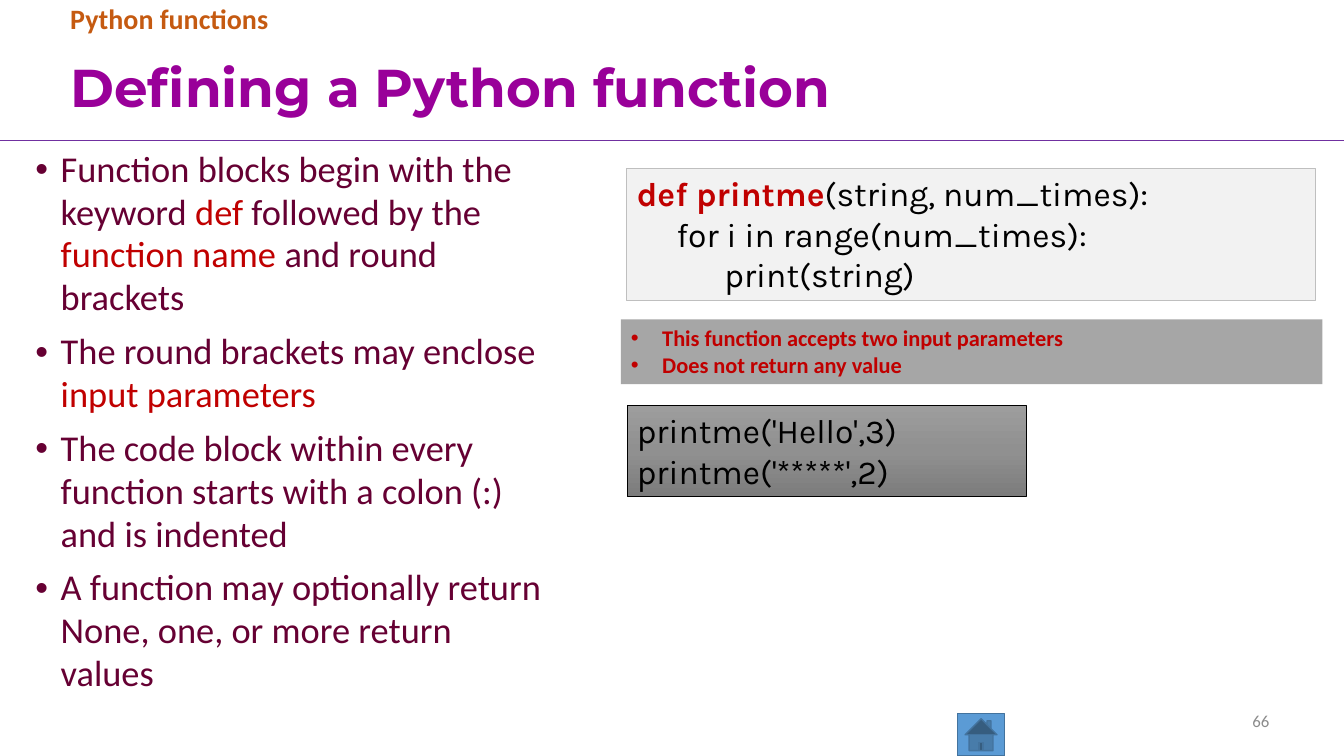
from copy import deepcopy

from lxml import etree
from pptx import Presentation
from pptx import util as u
from pptx.dml.color import RGBColor
from pptx.enum import shapes, text
from pptx.oxml.ns import qn

PURPLE = RGBColor(0x99, 0x00, 0x99)
RULE_PURPLE = RGBColor(0x70, 0x30, 0xA0)
PLUM = RGBColor(0x66, 0x00, 0x33)
RED = RGBColor(0xC0, 0x00, 0x00)
ORANGE = RGBColor(0xC5, 0x5A, 0x11)
BLACK = RGBColor(0x00, 0x00, 0x00)
NUMBER_GREY = RGBColor(0x8C, 0x8C, 0x8C)
CODE_FILL = RGBColor(0xF2, 0xF2, 0xF2)
CODE_LINE = RGBColor(0xBF, 0xBF, 0xBF)
NOTE_FILL = RGBColor(0xA6, 0xA6, 0xA6)
BUTTON_FILL = RGBColor(0x5B, 0x9B, 0xD5)
BUTTON_LINE = RGBColor(0x43, 0x73, 0x9E)
CALL_GREYS = [RGBColor(0x9D, 0x9D, 0x9D), RGBColor(0x90, 0x90, 0x90),
              RGBColor(0x7C, 0x7C, 0x7C)]

RULES = [
    [("Function blocks begin with the keyword ", PLUM), ("def ", RED),
     ("followed by the ", PLUM), ("function name", RED),
     (" and round brackets", PLUM)],
    [("The round brackets may enclose ", PLUM), ("input parameters", RED)],
    [("The code block within every function starts with a colon (:) "
      "and is indented", PLUM)],
    [("A function may optionally return None, one, or more return values", PLUM)],
]
DEFINITION = [
    [("def printme", RED, True), ("(string, num_times):", BLACK)],
    [("     for i in range(num_times):", BLACK)],
    [("           print(string)", BLACK)],
]
NOTES = [
    [("This function accepts two input parameters", RED, True)],
    [("Does not return any value", RED, True)],
]
CALLS = [[("printme('Hello',3)", BLACK)], [("printme('*****',2)", BLACK)]]


def lengths(*values):
    return [u.Cm(value) for value in values]


def add_bullet(para, indent):
    props = para._p.get_or_add_pPr()
    props.set("marL", str(u.Cm(indent)))
    props.set("indent", str(-u.Cm(indent)))
    etree.SubElement(props, qn("a:buFont")).set("typeface", "Arial")
    etree.SubElement(props, qn("a:buChar")).set("char", "•")


def write(box, paragraphs, size, font="Calibri", align=text.PP_ALIGN.LEFT,
          anchor=text.MSO_ANCHOR.TOP, indent=None, spacing=None, gap=0):
    frame = box.text_frame
    frame.word_wrap = True
    frame.auto_size = text.MSO_AUTO_SIZE.NONE
    frame.vertical_anchor = anchor
    for index, runs in enumerate(paragraphs):
        para = frame.add_paragraph() if index else frame.paragraphs[0]
        para.alignment = align
        para.space_before = u.Pt(gap if index else 0)
        if spacing:
            para.line_spacing = spacing
        if indent:
            add_bullet(para, indent)
        for words, colour, *bold in runs:
            span = para.add_run()
            span.text = words
            span.font.name = font
            span.font.size = u.Pt(size)
            span.font.bold = bool(bold)
            span.font.color.rgb = colour


def add_text(page, place, paragraphs, size, **style):
    write(page.shapes.add_textbox(*lengths(*place)), paragraphs, size, **style)


def add_panel(page, place, fill=None, line=None, width=0.75,
              kind=shapes.MSO_SHAPE.RECTANGLE):
    panel = page.shapes.add_shape(kind, *lengths(*place))
    panel.shadow.inherit = False
    if fill is not None:
        panel.fill.solid()
        panel.fill.fore_color.rgb = fill
    if line is None:
        panel.line.fill.background()
    else:
        panel.line.color.rgb = line
        panel.line.width = u.Pt(width)
    return panel


def shade_downwards(panel, colours):
    panel.fill.gradient()
    panel.fill.gradient_angle = 270
    first = panel.fill._fill._gradFill.find(qn("a:gsLst"))[0]
    first.addnext(deepcopy(first))
    for index, (stop, colour) in enumerate(zip(panel.fill.gradient_stops, colours)):
        stop.position = index / (len(colours) - 1)
        stop.color.rgb = colour


def add_rule(page, width, top):
    rule = page.shapes.add_connector(
        shapes.MSO_CONNECTOR.STRAIGHT, 0, u.Cm(top), width, u.Cm(top))
    rule.line.color.rgb = RULE_PURPLE
    rule.line.width = u.Pt(0.5)
    etree.SubElement(rule._element.spPr, qn("a:effectLst"))


def add_title(page, place, words):
    title = page.shapes.title
    title.left, title.top, title.width, title.height = lengths(*place)
    write(title, [[(words, PURPLE, True)]], 38, font="Montserrat",
          anchor=text.MSO_ANCHOR.MIDDLE, spacing=0.9)


def main():
    deck = Presentation()
    deck.slide_width, deck.slide_height = lengths(33.87, 19.05)
    page = deck.slides.add_slide(deck.slide_layouts[5])

    add_rule(page, deck.slide_width, 3.53)
    add_panel(page, (24.13, 17.98, 1.19, 1.07), BUTTON_FILL, BUTTON_LINE, 1,
              shapes.MSO_SHAPE.ACTION_BUTTON_HOME)
    add_title(page, (1.52, 1.04, 30.71, 2.46), "Defining a Python function")
    add_text(page, (23.93, 17.65, 8.31, 1.02), [[("66", NUMBER_GREY)]], 12,
             align=text.PP_ALIGN.RIGHT, anchor=text.MSO_ANCHOR.MIDDLE)
    add_text(page, (1.52, 0, 26.26, 1.04), [[("Python functions", ORANGE, True)]],
             20, spacing=0.9)
    add_text(page, (0.64, 3.61, 13.51, 2.41), RULES, 26,
             indent=0.64, spacing=0.98, gap=8)

    definition = add_panel(page, (15.8, 4.24, 17.35, 3.33), CODE_FILL, CODE_LINE)
    write(definition, DEFINITION, 24, font="Karla")
    notes = add_panel(page, (15.65, 8.05, 17.68, 1.63), NOTE_FILL)
    write(notes, NOTES, 16, indent=0.79)
    calls = add_panel(page, (15.8, 10.21, 10.06, 2.31), line=BLACK, width=0.5)
    shade_downwards(calls, CALL_GREYS)
    write(calls, CALLS, 24, font="Karla")

    deck.save("out.pptx")


if __name__ == "__main__":
    main()
